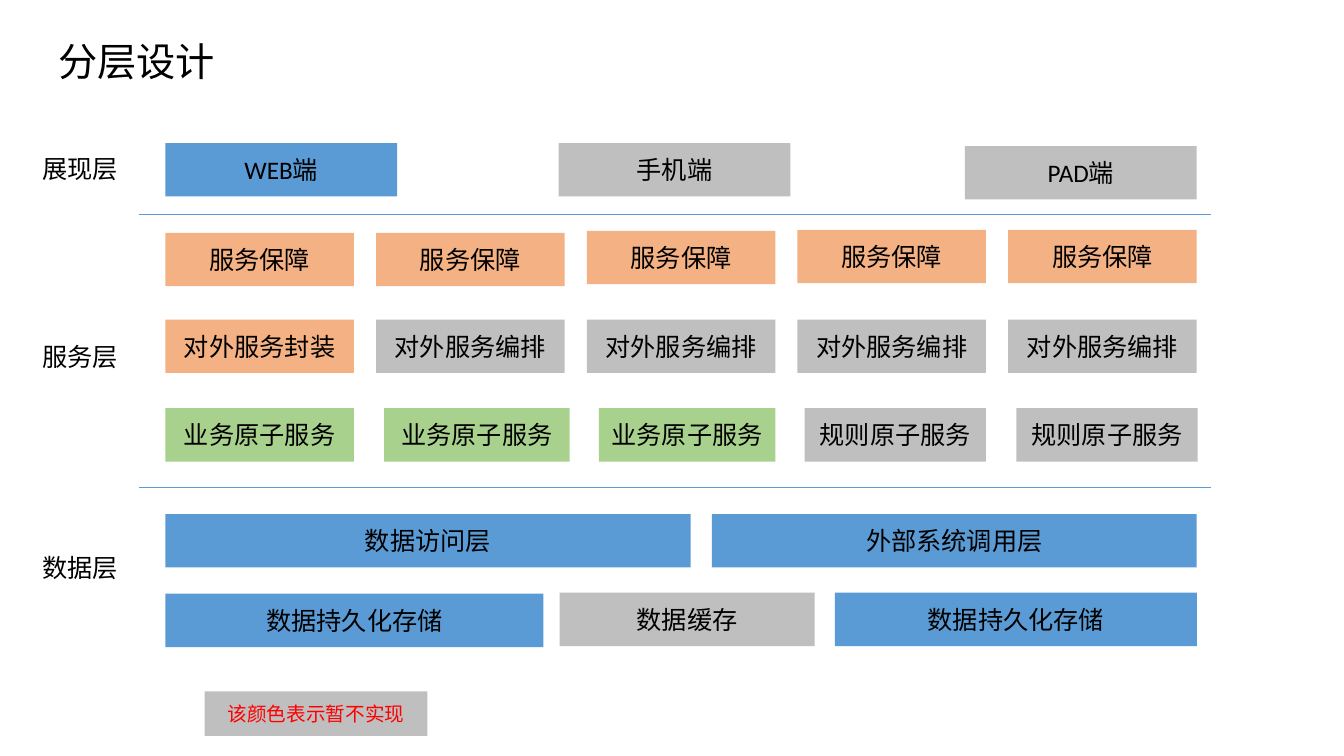
import pptx
import pptx.util
import pptx.dml.color
import pptx.enum.shapes
import pptx.enum.text
import pptx.oxml.ns
import lxml.etree

Inches = pptx.util.Inches
BLUE, GRAY, ORANGE, GREEN = "5B9BD5", "BFBFBF", "F4B183", "A9D18E"
BLACK, RED = "000000", "FF0000"
BOX_H = 0.53
LEFT, WIDTH = 1.64, 10.23


def rgb(value):
    return pptx.dml.color.RGBColor.from_string(value)


def write(sp, text, size, color):
    p = sp.text_frame.paragraphs[0]
    p.text = text
    p.font.size = pptx.util.Pt(size)
    p.font.name = "Calibri"
    p.font.color.rgb = rgb(color)
    return p


def add_label(s, text, x, y, w, h, size=18):
    sp = s.shapes.add_textbox(Inches(x), Inches(y), Inches(w), Inches(h))
    sp.text_frame.word_wrap = True
    write(sp, text, size, BLACK)


def add_box(s, text, fill, x, y, w, h=BOX_H, size=18, color=BLACK):
    sp = s.shapes.add_shape(pptx.enum.shapes.MSO_SHAPE.RECTANGLE,
                            Inches(x), Inches(y), Inches(w), Inches(h))
    sp.shadow.inherit = False
    sp.fill.solid()
    sp.fill.fore_color.rgb = rgb(fill)
    sp.line.fill.background()
    sp.text_frame.word_wrap = True
    sp.text_frame.vertical_anchor = pptx.enum.text.MSO_ANCHOR.MIDDLE
    p = write(sp, text, size, color)
    p.alignment = pptx.enum.text.PP_ALIGN.CENTER


def add_divider(s, x, y, w):
    line = s.shapes.add_connector(pptx.enum.shapes.MSO_CONNECTOR.STRAIGHT,
                                  Inches(x), Inches(y), Inches(x + w), Inches(y))
    line.line.color.rgb = rgb(BLUE)
    line.line.width = pptx.util.Pt(0.5)
    lxml.etree.SubElement(line._element.spPr, pptx.oxml.ns.qn("a:effectLst"))


def presentation_layer(s, x, y, w):
    add_label(s, "展现层", x - 1.32, y + 0.05, 1.06, 0.4)
    box_w = 2.3
    add_box(s, "WEB端", BLUE, x, y, box_w)
    add_box(s, "手机端", GRAY, x + 3.9, y, box_w)
    add_box(s, "PAD端", GRAY, x + w - box_w, y + 0.03, box_w)


def service_layer(s, x, y, w):
    add_label(s, "服务层", x - 1.32, y + 1.06, 1.06, 0.4)
    box_w = 1.87
    pitch = (w - box_w) / 4
    for i, dy in enumerate((0.03, 0.03, 0.01, 0, 0)):
        left = x + i * pitch
        add_box(s, "服务保障", ORANGE, left, y + dy, box_w)
        text, fill = ("对外服务编排", GRAY) if i else ("对外服务封装", ORANGE)
        add_box(s, text, fill, left, y + 0.89, box_w)
    atoms = ((0, 1.87), (2.17, 1.84), (4.3, 1.75), (6.34, 1.8), (8.44, 1.8))
    for i, (dx, atom_w) in enumerate(atoms):
        text, fill = ("业务原子服务", GREEN) if i < 3 else ("规则原子服务", GRAY)
        add_box(s, text, fill, x + dx, y + 1.77, atom_w)


def data_layer(s, x, y, w):
    add_label(s, "数据层", x - 1.32, y + 0.33, 1.06, 0.4)
    add_box(s, "数据访问层", BLUE, x, y, 5.21)
    add_box(s, "外部系统调用层", BLUE, x + w - 4.81, y, 4.81)
    add_box(s, "数据持久化存储", BLUE, x, y + 0.79, 3.75)
    add_box(s, "数据缓存", GRAY, x + 3.91, y + 0.78, 2.53)
    add_box(s, "数据持久化存储", BLUE, x + w - 3.59, y + 0.78, 3.59)


prs = pptx.Presentation()
prs.slide_width, prs.slide_height = Inches(13.33), Inches(7.5)
s = prs.slides.add_slide(prs.slide_layouts[6])

add_label(s, "分层设计", 0.48, 0.32, 2.2, 0.57, 28)
presentation_layer(s, LEFT, 1.42, WIDTH)
service_layer(s, LEFT, 2.28, WIDTH)
data_layer(s, LEFT, 5.1, WIDTH)
for y in (2.13, 4.84):
    add_divider(s, LEFT - 0.26, y, 10.63)
add_box(s, "该颜色表示暂不实现", GRAY, 2.03, 6.86, 2.21, 0.44, 14, RED)

prs.save("out.pptx")
